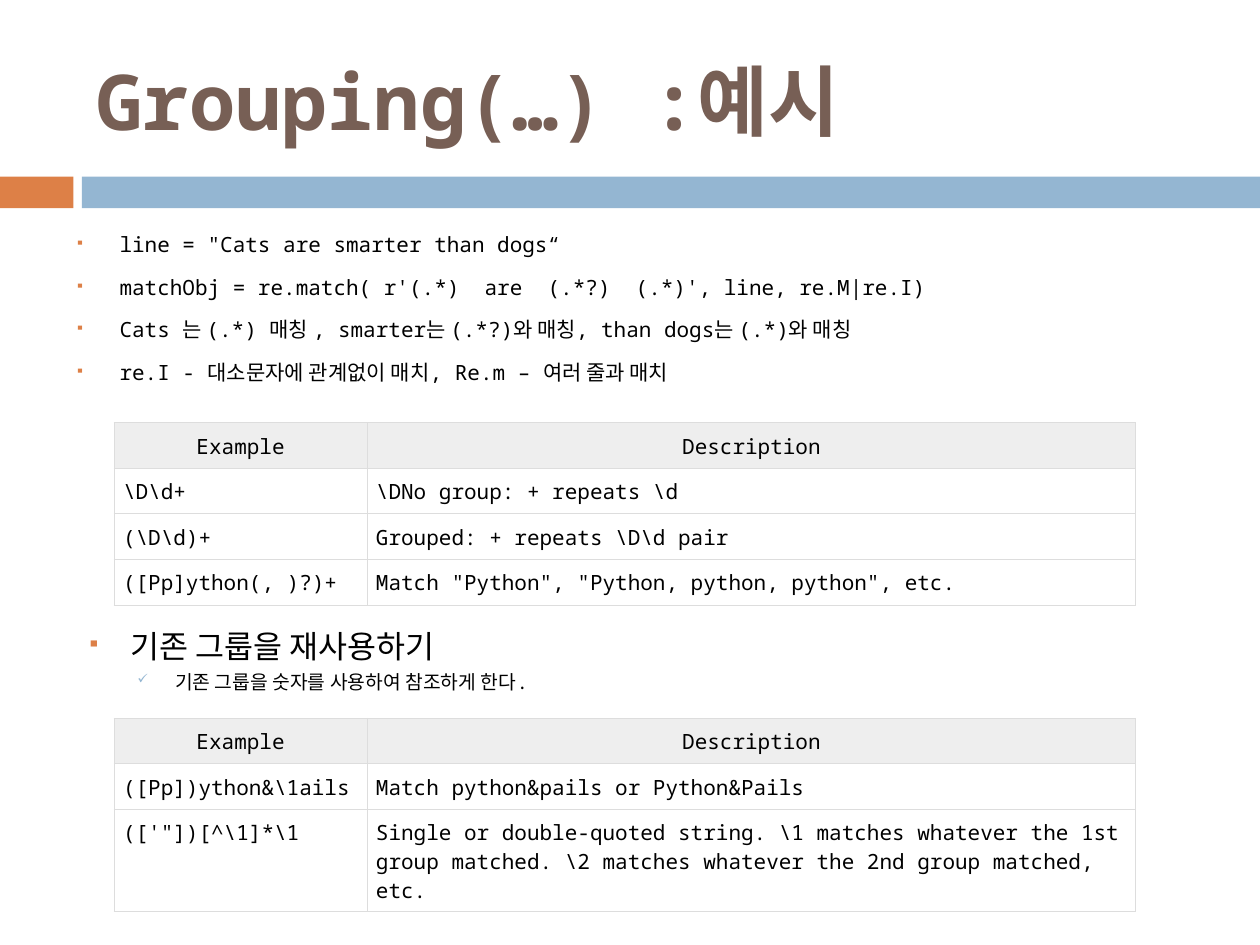
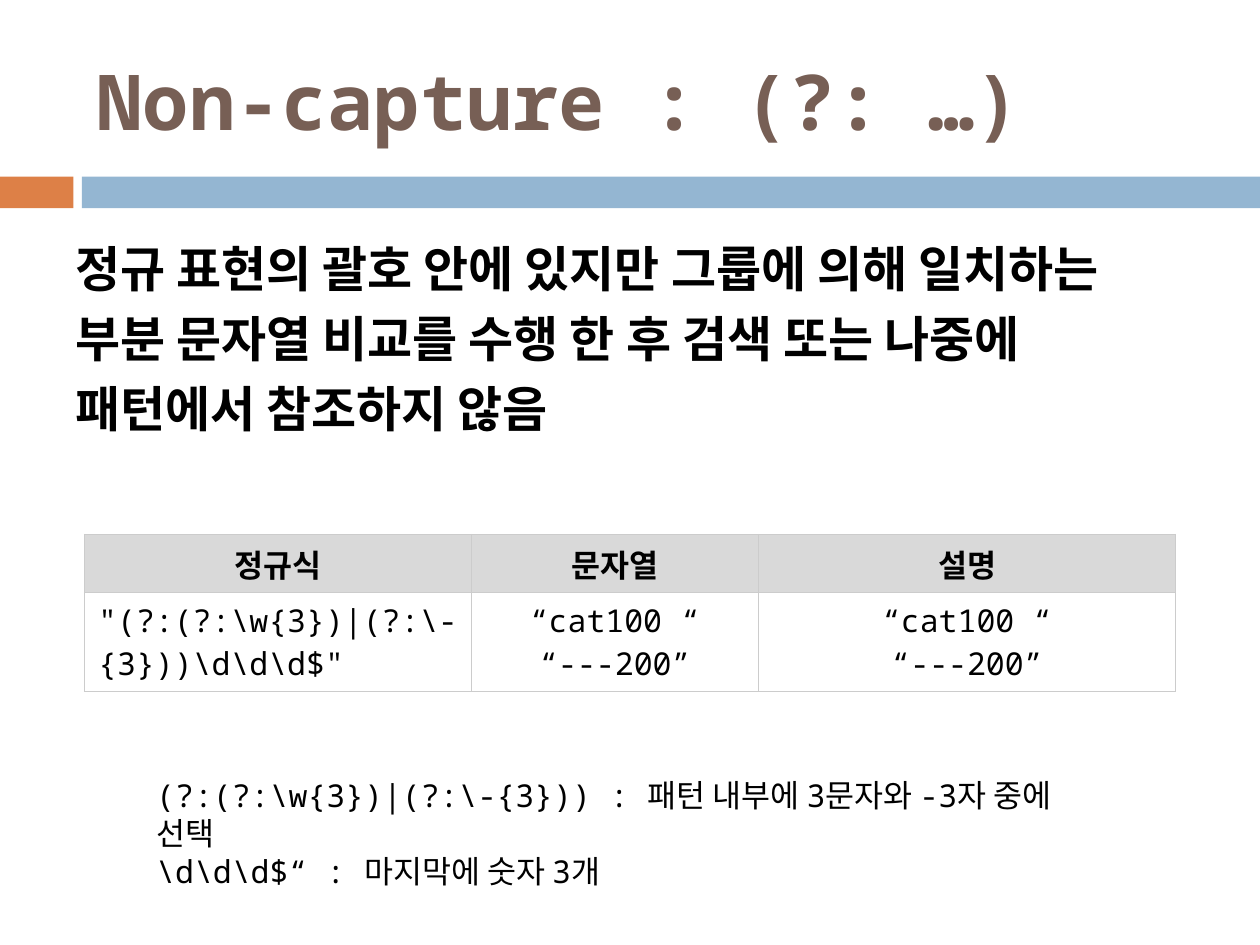
from lxml.etree import SubElement
from pptx import Presentation
from pptx.dml.color import RGBColor
from pptx.enum.shapes import MSO_SHAPE as Shape
from pptx.enum.text import MSO_ANCHOR as Anchor, PP_ALIGN as Align
from pptx.oxml.ns import qn
from pptx.util import Cm, Pt

MONO, SANS = "Noto Sans Mono", "Arial"
ORANGE, BLUE, BROWN = "DD8047", "94B6D2", "775F55"
BLACK, WHITE = "000000", "FFFFFF"

BANDS = [(0, 1.48, ORANGE), (1.65, 23.75, BLUE)]
SQUARE = dict(char="▪", color=ORANGE, percent=60, left=0.89, hanging=0.89)
CHECK = dict(char="✓", color=BLUE, percent=70, left=1.78, hanging=0.76)

MATCH_LINES = [
    "line = \"Cats are smarter than dogs“",
    "matchObj = re.match( r'(.*)  are  (.*?)  (.*)', line, re.M|re.I)",
    "Cats 는 (.*) 매칭 , smarter는 (.*?)와 매칭, than dogs는 (.*)와 매칭",
    "re.I - 대소문자에 관계없이 매치, Re.m – 여러 줄과 매치",
]
HEADINGS = ["Example", "Description"]
GROUPING_ROWS = [
    HEADINGS,
    [r"\D\d+", r"\DNo group: + repeats \d"],
    [r"(\D\d)+", r"Grouped: + repeats \D\d pair"],
    ["([Pp]ython(, )?)+", 'Match "Python", "Python, python, python", etc.'],
]
REUSE_TITLE = "기존 그룹을 재사용하기"
REUSE_DETAIL = "기존 그룹을 숫자를 사용하여 참조하게 한다."
REUSE_ROWS = [
    HEADINGS,
    [r"([Pp])ython&\1ails", "Match python&pails or Python&Pails"],
    [r"""(['"])[^\1]*\1""",
     r"Single or double-quoted string. \1 matches whatever the 1st group matched. "
     r"\2 matches whatever the 2nd group matched, etc."],
]
NON_CAPTURE = ("정규 표현의 괄호 안에 있지만 그룹에 의해 일치하는 부분 문자열 비교를 "
               "수행 한 후 검색 또는 나중에 패턴에서 참조하지 않음")
SAMPLES = "“cat100 “\n“---200”"
CAPTURE_ROWS = [
    ["정규식", "문자열", "설명"],
    [r'"(?:(?:\w{3})|(?:\-{3}))\d\d\d$"', SAMPLES, SAMPLES],
]
PATTERN_NOTES = [
    r"(?:(?:\w{3})|(?:\-{3})) : 패턴 내부에 3문자와 -3자 중에 선택",
    r"\d\d\d$“ : 마지막에 숫자 3개",
]

EXAMPLE_STYLE = dict(size=12, border="DDDDDD", head="EEEEEE", bold_head=False,
                     centred=(), inset=(0.18, 0.18), anchor=Anchor.TOP)
CAPTURE_STYLE = dict(size=18, border="CCCCCC", head="D9D9D9", bold_head=True,
                     centred=(1, 2), inset=(0.28, 0.13), anchor=Anchor.MIDDLE)


def rgb(value):
    return RGBColor.from_string(value)


def add_bullet(para, char, color, percent, left, hanging):
    props = para._p.get_or_add_pPr()
    props.set("marL", str(Cm(left)))
    props.set("indent", str(-Cm(hanging)))
    SubElement(SubElement(props, qn("a:buClr")), qn("a:srgbClr"), val=color)
    SubElement(props, qn("a:buSzPct"), val=str(percent * 1000))
    SubElement(props, qn("a:buChar"), char=char)


def write(frame, lines):
    """Fill a text frame with (text, style) pairs, one paragraph each."""
    frame.word_wrap = True
    for number, (text, style) in enumerate(lines):
        para = frame.add_paragraph() if number else frame.paragraphs[0]
        para.add_run().text = text
        if "bullet" in style:
            add_bullet(para, **style["bullet"])
        if "line" in style:
            para.line_spacing = Pt(style["line"])
        if number and "before" in style:
            para.space_before = Pt(style["before"])
        para.alignment = style.get("align", Align.LEFT)
        font = para.font
        font.name = style.get("font", MONO)
        font.size = Pt(style["size"])
        font.bold = style.get("bold", False)
        font.color.rgb = rgb(style.get("color", BLACK))


def add_text(page, left, top, width, height, lines, anchor=Anchor.TOP):
    box = page.shapes.add_textbox(Cm(left), Cm(top), Cm(width), Cm(height))
    box.text_frame.vertical_anchor = anchor
    write(box.text_frame, lines)


def set_borders(cell, color):
    props = cell._tc.get_or_add_tcPr()
    for side in ("lnL", "lnR", "lnT", "lnB"):
        line = SubElement(props, qn(f"a:{side}"), w=str(Pt(0.6)))
        fill = SubElement(line, qn("a:solidFill"))
        SubElement(fill, qn("a:srgbClr"), val=color)


def add_grid(page, left, top, widths, heights, rows, look):
    frame = page.shapes.add_table(len(rows), len(widths), Cm(left), Cm(top),
                                  Cm(sum(widths)), Cm(sum(heights)))
    table = frame.table
    table.first_row = table.horz_banding = False
    for column, width in zip(table.columns, widths):
        column.width = Cm(width)
    for row, height in zip(table.rows, heights):
        row.height = Cm(height)
    side, edge = look["inset"]
    for r, texts in enumerate(rows):
        for c, text in enumerate(texts):
            cell = table.cell(r, c)
            cell.margin_left = cell.margin_right = Cm(side)
            cell.margin_top = cell.margin_bottom = Cm(edge)
            cell.vertical_anchor = look["anchor"]
            set_borders(cell, look["border"])
            cell.fill.solid()
            cell.fill.fore_color.rgb = rgb(WHITE if r else look["head"])
            centred = r == 0 or c in look["centred"]
            style = dict(size=look["size"], bold=r == 0 and look["bold_head"],
                         align=Align.CENTER if centred else Align.LEFT)
            write(cell.text_frame, [(line, style) for line in text.split("\n")])


def add_page(deck, title):
    page = deck.slides.add_slide(deck.slide_layouts[6])
    for left, width, color in BANDS:
        band = page.shapes.add_shape(Shape.RECTANGLE, Cm(left), Cm(3.56), Cm(width), Cm(0.64))
        band.shadow.inherit = False
        band.fill.solid()
        band.fill.fore_color.rgb = rgb(color)
        band.line.fill.background()
    add_text(page, 1.7, 0.64, 22.66, 2.74,
             [(title, dict(size=44, bold=True, color=BROWN))], Anchor.MIDDLE)
    return page


def main():
    deck = Presentation()
    deck.slide_width, deck.slide_height = Cm(25.4), Cm(19.05)

    page = add_page(deck, "Grouping(…) :예시")
    code = dict(size=12, bullet=SQUARE, line=17.3, before=7)
    add_text(page, 1.27, 4.45, 22.86, 3.89, [(line, code) for line in MATCH_LINES])
    columns = [5.1, 15.5]
    add_grid(page, 2.3, 8.52, columns, [0.92] * 4, GROUPING_ROWS, EXAMPLE_STYLE)
    add_grid(page, 2.3, 14.48, columns, [0.92, 0.92, 2.06], REUSE_ROWS, EXAMPLE_STYLE)
    add_text(page, 1.5, 12.32, 21.41, 1.85, [
        (REUSE_TITLE, dict(size=18, bullet=SQUARE, line=27)),
        (REUSE_DETAIL, dict(size=11, bullet=CHECK, before=3)),
    ])

    page = add_page(deck, "Non-capture : (?: …)")
    add_text(page, 1.27, 4.45, 22.86, 4.67,
             [(NON_CAPTURE, dict(size=28, font=SANS, bold=True, line=40))])
    add_grid(page, 1.7, 10.77, [7.8, 5.79, 8.41], [1.18, 1.98], CAPTURE_ROWS, CAPTURE_STYLE)
    note = dict(size=18, line=21.7)
    add_text(page, 2.9, 15.52, 19.41, 1.8, [(line, note) for line in PATTERN_NOTES])

    deck.save("out.pptx")


if __name__ == "__main__":
    main()
